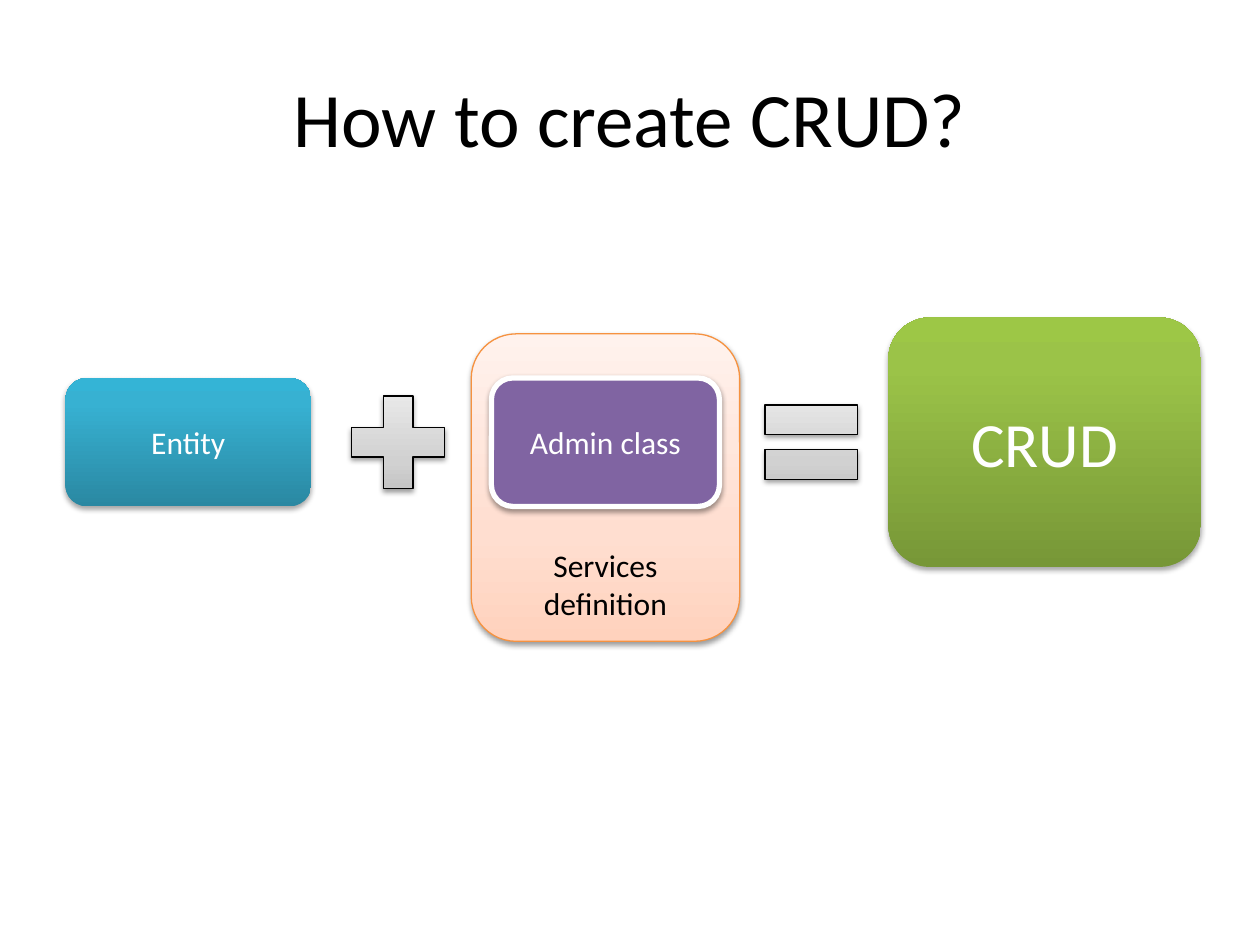
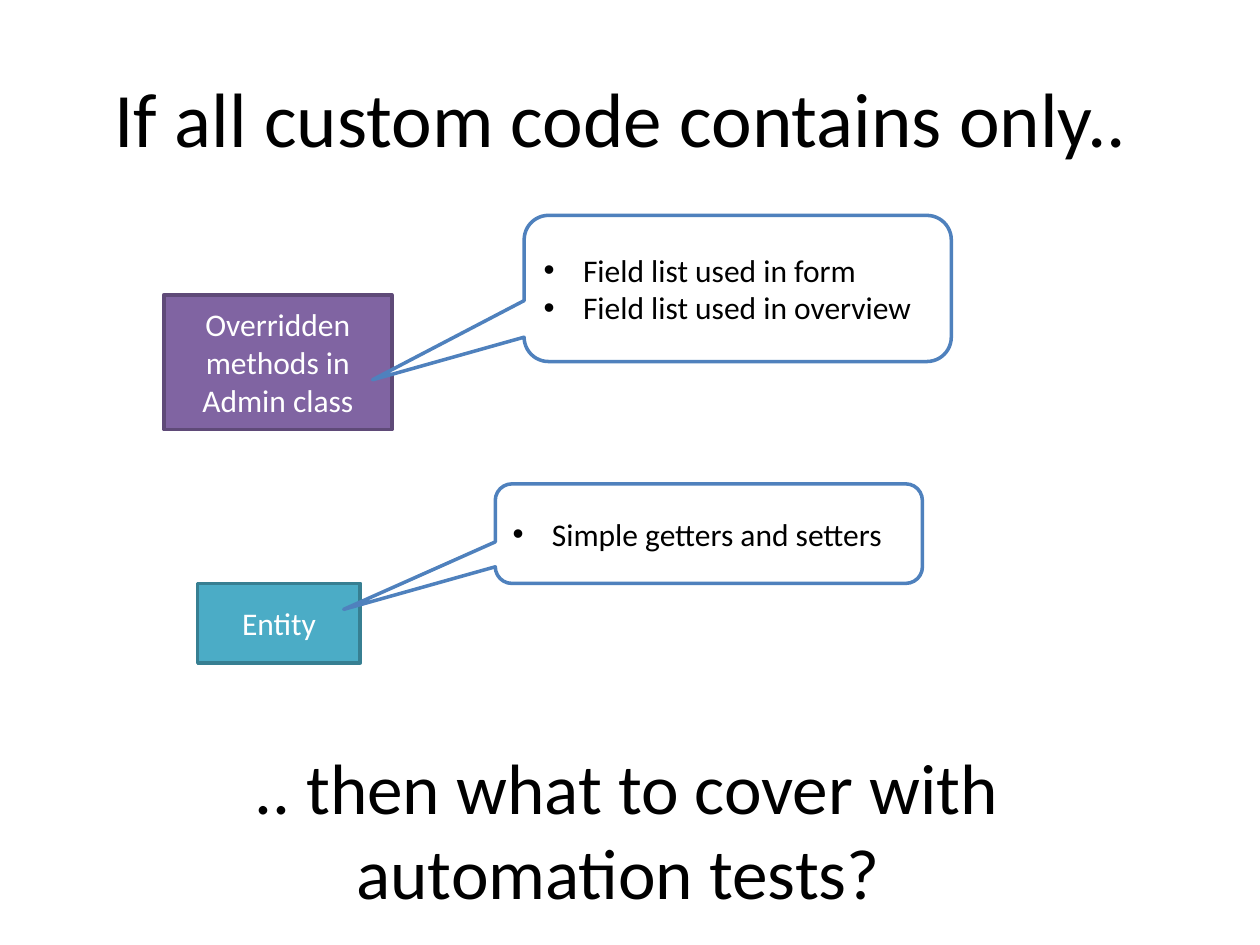
"""Build two slides on creating CRUD and on what is left to test."""
from dataclasses import dataclass

from lxml import etree
from pptx import Presentation
from pptx.dml.color import RGBColor
from pptx.enum import shapes, text
from pptx.oxml import ns
from pptx.util import Pt

SHAPE = shapes.MSO_SHAPE
ANCHOR = text.MSO_ANCHOR
ALIGN = text.PP_ALIGN


@dataclass(frozen=True)
class Theme:
    font: str = "Calibri"
    title_size: float = 44
    closing_size: float = 40.7
    result_size: float = 36
    label_size: float = 18
    dark: str = "000000"
    light: str = "FFFFFF"
    admin: str = "8064A2"
    admin_edge: str = "5F4A78"
    entity: str = "4BACC6"
    entity_edge: str = "377F92"
    callout_edge: str = "4F81BD"
    services_edge: str = "F69240"
    services_stops: tuple = ((0, "FFD2BD"), (35, "FFDED0"), (100, "FFF2ED"))
    operator_stops: tuple = ((0, "BDBDBD"), (35, "D1D1D1"), (100, "EEEEEE"))
    entity_stops: tuple = ((0, "2A88A2"), (80, "37B1D2"), (100, "34B4D6"))
    result_stops: tuple = ((0, "779737"), (80, "9BC348"), (100, "9DC746"))
    soft_shadow: tuple = (38, 1.6)
    deep_shadow: tuple = (35, 1.8)
    shadow_blur: float = 3.1
    bullet_indent: float = 22.5


class Deck:
    def __init__(self, theme):
        self.theme = theme
        self.presentation = Presentation()
        self.presentation.slide_width = Pt(720)
        self.presentation.slide_height = Pt(540)
        self.slide = None

    def add_slide(self, title):
        layout = self.presentation.slide_layouts[5]
        self.slide = self.presentation.slides.add_slide(layout)
        shape = self.slide.shapes.title
        shape.left, shape.top, shape.width, shape.height = map(Pt, (36, 21.6, 648, 90))
        self.set_text(shape, title, self.theme.title_size, self.theme.dark)

    def set_text(self, shape, content, size, color, align=ALIGN.CENTER, anchor=ANCHOR.MIDDLE):
        frame = shape.text_frame
        frame.text = content
        frame.word_wrap = True
        frame.vertical_anchor = anchor
        for paragraph in frame.paragraphs:
            paragraph.alignment = align
            for run in paragraph.runs:
                run.font.name = self.theme.font
                run.font.size = Pt(size)
                run.font.color.rgb = RGBColor.from_string(color)

    def paint(self, shape, fill, edge=None, edge_width=0.75, shadow=None):
        if isinstance(fill, str):
            shape.fill.solid()
            shape.fill.fore_color.rgb = RGBColor.from_string(fill)
        else:
            self.paint_gradient(shape, fill)
        if edge:
            shape.line.color.rgb = RGBColor.from_string(edge)
            shape.line.width = Pt(edge_width)
        else:
            shape.line.fill.background()
        shape.shadow.inherit = False
        if shadow:
            self.add_shadow(shape, *shadow)

    def paint_gradient(self, shape, stops):
        shape.fill.gradient()
        shape.fill.gradient_angle = 90
        stop_list = shape._element.spPr.find(".//" + ns.qn("a:gsLst"))
        stop_list.clear()
        for position, color in stops:
            stop = etree.SubElement(stop_list, ns.qn("a:gs"), pos=str(position * 1000))
            etree.SubElement(stop, ns.qn("a:srgbClr"), val=color)

    def add_shadow(self, shape, opacity, distance):
        effects = shape._element.spPr.find(ns.qn("a:effectLst"))
        shadow = etree.SubElement(
            effects, ns.qn("a:outerShdw"), blurRad=str(Pt(self.theme.shadow_blur)),
            dist=str(Pt(distance)), dir="5400000", rotWithShape="0")
        color = etree.SubElement(shadow, ns.qn("a:srgbClr"), val=self.theme.dark)
        etree.SubElement(color, ns.qn("a:alpha"), val=str(opacity * 1000))

    def add_box(self, kind, place, fill, label="", size=None, color=None,
                anchor=ANCHOR.MIDDLE, **style):
        shape = self.slide.shapes.add_shape(kind, *map(Pt, place))
        self.paint(shape, fill, **style)
        if label:
            self.set_text(shape, label, size or self.theme.label_size,
                          color or self.theme.light, anchor=anchor)

    def add_operator(self, kind, left):
        self.add_box(kind, (left, 216.7, 72, 72), self.theme.operator_stops,
                     edge=self.theme.dark, shadow=self.theme.soft_shadow)

    def add_callout(self, place, pointer, items):
        shape = self.slide.shapes.add_shape(SHAPE.ROUNDED_RECTANGULAR_CALLOUT, *map(Pt, place))
        for index, value in enumerate(pointer):
            shape.adjustments[index] = value
        self.paint(shape, self.theme.light, self.theme.callout_edge, 2)
        self.set_text(shape, "\n".join(items), self.theme.label_size, self.theme.dark, ALIGN.LEFT)
        indent = Pt(self.theme.bullet_indent)
        for paragraph in shape.text_frame.paragraphs:
            properties = paragraph._p.get_or_add_pPr()
            properties.set("marL", str(indent))
            properties.set("indent", str(-indent))
            etree.SubElement(properties, ns.qn("a:buFont"), typeface="Arial")
            etree.SubElement(properties, ns.qn("a:buChar"), char="•")

    def add_closing(self, place, content):
        shape = self.slide.shapes.add_textbox(*map(Pt, place))
        self.set_text(shape, content, self.theme.closing_size, self.theme.dark)


def build_equation(deck):
    theme = deck.theme
    deck.add_slide("How to create CRUD?")
    deck.add_box(SHAPE.ROUNDED_RECTANGLE, (269.3, 190.8, 153.4, 175.7), theme.services_stops,
                 "Services definition", color=theme.dark, anchor=ANCHOR.BOTTOM,
                 edge=theme.services_edge, shadow=theme.soft_shadow)
    deck.add_box(SHAPE.ROUNDED_RECTANGLE, (37.4, 216, 140.4, 73.4), theme.entity_stops,
                 "Entity", shadow=theme.deep_shadow)
    deck.add_box(SHAPE.ROUNDED_RECTANGLE, (280.8, 216, 130.3, 73.4), theme.admin,
                 "Admin class", edge=theme.light, edge_width=3, shadow=theme.soft_shadow)
    deck.add_box(SHAPE.ROUNDED_RECTANGLE, (507.6, 181.4, 178.6, 142.6), theme.result_stops,
                 "CRUD", theme.result_size, shadow=theme.deep_shadow)
    deck.add_operator(SHAPE.MATH_EQUAL, 427.7)
    deck.add_operator(SHAPE.MATH_PLUS, 191.5)


def build_question(deck):
    theme = deck.theme
    deck.add_slide("If all custom code contains only.. ")
    deck.add_box(SHAPE.RECTANGLE, (93.6, 168.5, 130.3, 77), theme.admin,
                 "Overridden methods in Admin class", edge=theme.admin_edge, edge_width=2)
    deck.add_box(SHAPE.RECTANGLE, (113, 333.4, 92.9, 45.4), theme.entity,
                 "Entity", edge=theme.entity_edge, edge_width=2)
    deck.add_callout((299.5, 123.1, 244.1, 83.5), (-0.855, 0.625, 0.167),
                     ["Field list used in form", "Field list used in overview"])
    deck.add_callout((283, 276.5, 244.1, 56.9), (-0.855, 0.761, 0.167),
                     ["Simple getters and setters"])
    deck.add_closing((25.2, 428.4, 665.3, 90),
                     ".. then what to cover with\nautomation tests? ")


def main():
    deck = Deck(Theme())
    build_equation(deck)
    build_question(deck)
    deck.presentation.save("out.pptx")


main()
